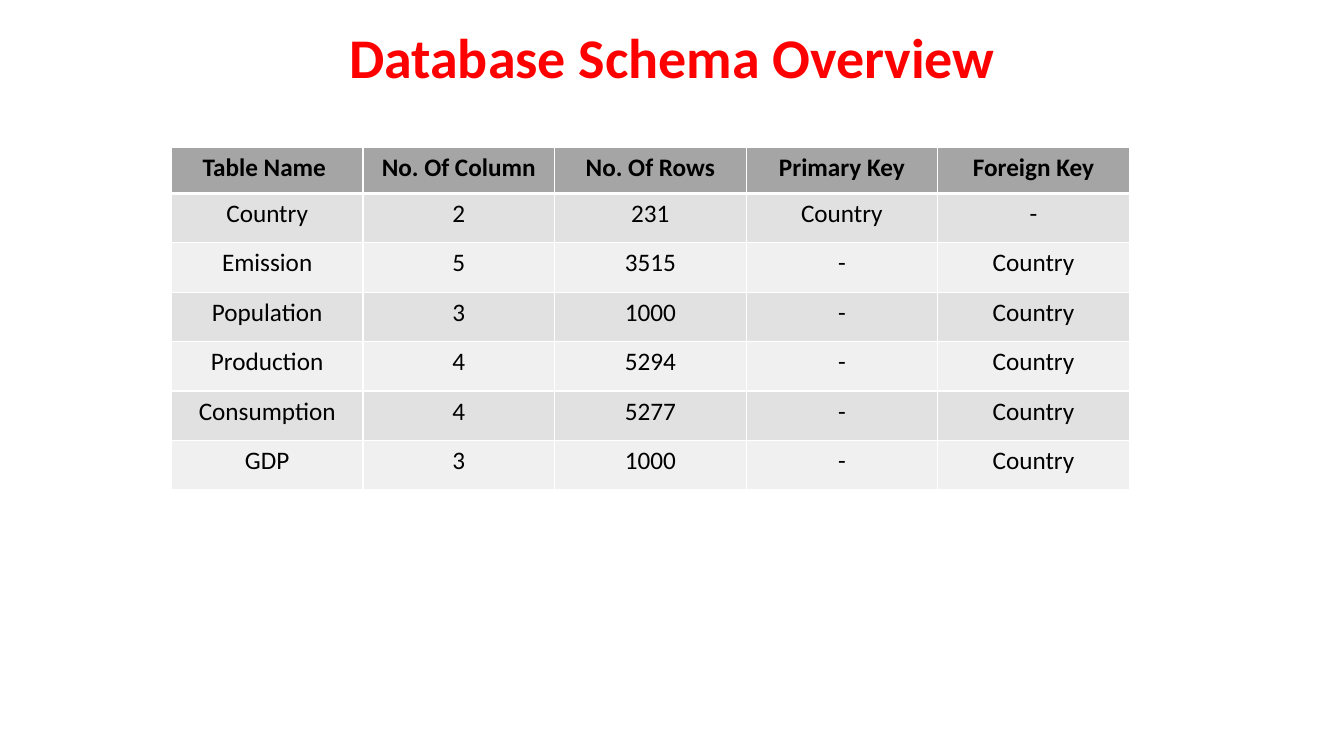
import dataclasses

import lxml.etree
import pptx
import pptx.dml.color
import pptx.enum.text
import pptx.oxml.ns
import pptx.util

SLIDE_W, SLIDE_H = 13.33, 7.5
COLUMN_W, HEADER_H, ROW_H = 1.9, 0.46, 0.49
HEADER_FILL, BAND_FILLS = "A5A5A5", ("E1E1E1", "F0F0F0")
BORDER_COLOR, THIN, THICK = "FFFFFF", 1, 3
HEADINGS = ("Table Name ", "No. Of Column", "No. Of Rows", "Primary Key", "Foreign Key")


@dataclasses.dataclass(frozen=True)
class SchemaTable:
    name: str
    columns: int
    rows: int
    primary_key: str = "-"
    foreign_key: str = "Country"


SCHEMA = (
    SchemaTable("Country", 2, 231, "Country", "-"),
    SchemaTable("Emission", 5, 3515),
    SchemaTable("Population", 3, 1000),
    SchemaTable("Production", 4, 5294),
    SchemaTable("Consumption", 4, 5277),
    SchemaTable("GDP", 3, 1000),
)


def rgb(color: str) -> pptx.dml.color.RGBColor:
    return pptx.dml.color.RGBColor.from_string(color)


def write_centered(tf, text: str, size: int, color: str, bold: bool) -> None:
    p = tf.paragraphs[0]
    p.alignment = pptx.enum.text.PP_ALIGN.CENTER
    r = p.add_run()
    r.text = text
    formats = {"name": "Calibri", "size": pptx.util.Pt(size), "bold": bold}
    for key, value in formats.items():
        setattr(r.font, key, value)
    r.font.color.rgb = rgb(color)


def add_borders(cell, widths: dict[str, int]) -> None:
    """Draw the cell's sides; must run before the fill, which follows them in the XML."""
    qn = pptx.oxml.ns.qn
    tc_pr = cell._tc.get_or_add_tcPr()
    for side, width in widths.items():
        ln = lxml.etree.SubElement(tc_pr, qn(f"a:ln{side}"), w=str(pptx.util.Pt(width)))
        fill = lxml.etree.SubElement(ln, qn("a:solidFill"))
        lxml.etree.SubElement(fill, qn("a:srgbClr"), val=BORDER_COLOR)


def add_title(slide, text: str) -> None:
    sp = slide.shapes.title
    box = {"left": 2.48, "top": 0.17, "width": 8.37, "height": 0.77}
    for key, value in box.items():
        setattr(sp, key, pptx.util.Inches(value))
    tf = sp.text_frame
    tf.word_wrap = True
    tf.auto_size = pptx.enum.text.MSO_AUTO_SIZE.SHAPE_TO_FIT_TEXT
    tf.vertical_anchor = pptx.enum.text.MSO_ANCHOR.TOP
    write_centered(tf, text, 40, "FF0000", True)


def add_schema_table(slide, left: float, top: float) -> None:
    grid = [HEADINGS, *map(dataclasses.astuple, SCHEMA)]
    width, height = COLUMN_W * len(HEADINGS), HEADER_H + ROW_H * len(SCHEMA)
    table = slide.shapes.add_table(
        len(grid), len(HEADINGS), *map(pptx.util.Inches, (left, top, width, height))
    ).table
    for column in table.columns:
        column.width = pptx.util.Inches(COLUMN_W)
    for i, values in enumerate(grid):
        header = i == 0
        table.rows[i].height = pptx.util.Inches(HEADER_H if header else ROW_H)
        fill = HEADER_FILL if header else BAND_FILLS[(i - 1) % 2]
        borders = {"L": THIN, "R": THIN, "T": THICK if i == 1 else THIN,
                   "B": THICK if header else THIN}
        for cell, value in zip(table.rows[i].cells, values):
            add_borders(cell, borders)
            cell.fill.solid()
            cell.fill.fore_color.rgb = rgb(fill)
            write_centered(cell.text_frame, str(value), 18, "000000", header)


def main() -> None:
    prs = pptx.Presentation()
    prs.slide_width = pptx.util.Inches(SLIDE_W)
    prs.slide_height = pptx.util.Inches(SLIDE_H)
    slide = prs.slides.add_slide(prs.slide_layouts.get_by_name("Title Only"))
    add_title(slide, "Database Schema Overview")
    add_schema_table(slide, 1.7, 1.46)
    prs.save("out.pptx")


if __name__ == "__main__":
    main()
